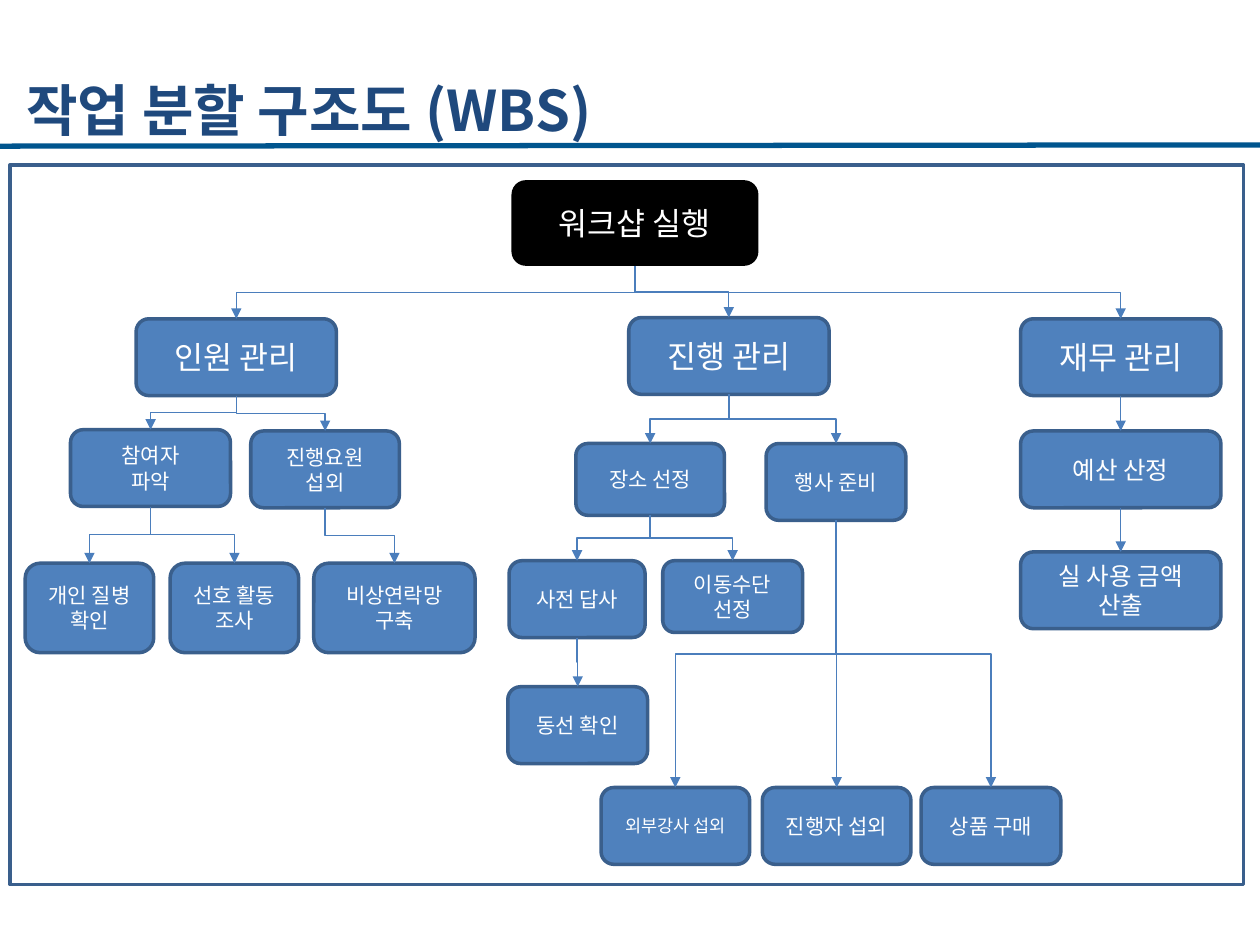
import pptx
import pptx.dml.color
import pptx.enum.shapes
import pptx.enum.text
import pptx.oxml.ns
import pptx.util
from lxml import etree

Inches = pptx.util.Inches
Pt = pptx.util.Pt
RGBColor = pptx.dml.color.RGBColor
SHAPE = pptx.enum.shapes.MSO_SHAPE
CONNECTOR = pptx.enum.shapes.MSO_CONNECTOR
ALIGN = pptx.enum.text.PP_ALIGN
ANCHOR = pptx.enum.text.MSO_ANCHOR
qn = pptx.oxml.ns.qn

FONT = "Noto Sans CJK KR"
NAVY = RGBColor(0x1F, 0x49, 0x7D)
RULE = RGBColor(0x00, 0x55, 0x8E)
BORDER = RGBColor(0x3A, 0x5F, 0x8C)
BLUE = RGBColor(0x4F, 0x81, 0xBD)
ARROW = RGBColor(0x4B, 0x7E, 0xBC)
BLACK = RGBColor(0, 0, 0)
WHITE = RGBColor(255, 255, 255)

ROOT = "워크샵 실행"

# text: (left, top, width, height, font size)
TASKS = {
    "인원 관리": (1.08, 2.53, 1.59, 0.61, 18),
    "진행 관리": (4.99, 2.52, 1.59, 0.61, 18),
    "재무 관리": (8.1, 2.53, 1.59, 0.61, 18),
    "참여자\n파악": (0.56, 3.41, 1.27, 0.61, 12),
    "진행요원\n섭외": (1.99, 3.42, 1.18, 0.61, 12),
    "개인 질병 확인": (0.2, 4.47, 1.02, 0.71, 12),
    "선호 활동 조사": (1.35, 4.47, 1.02, 0.71, 12),
    "비상연락망 구축": (2.49, 4.47, 1.28, 0.71, 12),
    "장소 선정": (4.57, 3.52, 1.18, 0.57, 12),
    "행사 준비": (6.08, 3.52, 1.11, 0.61, 12),
    "사전 답사": (4.04, 4.45, 1.08, 0.61, 12),
    "이동수단\n선정": (5.26, 4.45, 1.11, 0.57, 12),
    "동선 확인": (4.03, 5.45, 1.11, 0.61, 12),
    "외부강사 섭외": (4.77, 6.25, 1.18, 0.61, 10),
    "진행자 섭외": (6.05, 6.25, 1.18, 0.61, 12),
    "상품 구매": (7.31, 6.25, 1.11, 0.61, 12),
    "예산 산정": (8.1, 3.42, 1.59, 0.61, 14),
    "실 사용 금액\n산출": (8.1, 4.38, 1.59, 0.61, 14),
}

CHILDREN = {
    ROOT: ["인원 관리", "진행 관리", "재무 관리"],
    "인원 관리": ["참여자\n파악", "진행요원\n섭외"],
    "참여자\n파악": ["개인 질병 확인", "선호 활동 조사"],
    "진행요원\n섭외": ["비상연락망 구축"],
    "진행 관리": ["장소 선정", "행사 준비"],
    "장소 선정": ["사전 답사", "이동수단\n선정"],
    "사전 답사": ["동선 확인"],
    "행사 준비": ["외부강사 섭외", "진행자 섭외", "상품 구매"],
    "재무 관리": ["예산 산정"],
    "예산 산정": ["실 사용 금액\n산출"],
}


def write_text(shape, text, size, color, align, bold=False):
    frame = shape.text_frame
    frame.word_wrap = True
    frame.vertical_anchor = ANCHOR.MIDDLE
    frame.text = text
    for para in frame.paragraphs:
        para.alignment = align
        font = para.font
        font.size = Pt(size)
        font.bold = bold
        font.color.rgb = color
        font.name = FONT
        east_asian = etree.SubElement(font._element, qn("a:ea"))
        east_asian.set("typeface", FONT)


def add_box(page, kind, left, top, width, height, fill=None, border=None):
    box = page.shapes.add_shape(
        kind, Inches(left), Inches(top), Inches(width), Inches(height))
    box.shadow.inherit = False
    if fill is None:
        box.fill.background()
    else:
        box.fill.solid()
        box.fill.fore_color.rgb = fill
    if border is None:
        box.line.fill.background()
    else:
        box.line.color.rgb = border
        box.line.width = Pt(2)
    return box


def add_task(page, text, left, top, width, height, size,
             fill=BLUE, border=BORDER):
    box = add_box(page, SHAPE.ROUNDED_RECTANGLE,
                  left, top, width, height, fill, border)
    write_text(box, text, size, WHITE, ALIGN.CENTER)
    return box


def add_line(page, kind, start, end, color, width):
    line = page.shapes.add_connector(kind, *start, *end)
    line.line.color.rgb = color
    line.line.width = Pt(width)
    etree.SubElement(line._element.spPr, qn("a:effectLst"))
    return line


def add_branch(page, parent, child):
    """Draw an elbow arrow that leaves downwards and enters the child's top.

    An elbow runs sideways first, so it is laid out on its side about its
    centre and turned a quarter: clockwise to go left, mirrored to go right.
    """
    start_x = parent.left + parent.width // 2
    start_y = parent.top + parent.height
    end_x = child.left + child.width // 2
    center_x = (start_x + end_x) // 2
    center_y = (start_y + child.top) // 2
    half_drop = (child.top - start_y) // 2
    half_shift = abs(end_x - start_x) // 2
    goes_right = end_x > start_x
    side = half_drop if goes_right else -half_drop
    branch = add_line(page, CONNECTOR.ELBOW,
                      (center_x + side, center_y - half_shift),
                      (center_x - side, center_y + half_shift), ARROW, 0.75)
    quarter_turns = 3 if goes_right else 1
    branch._element.spPr.find(qn("a:xfrm")).set(
        "rot", str(quarter_turns * 90 * 60000))
    outline = branch.line._get_or_add_ln()
    etree.SubElement(outline, qn("a:tailEnd")).set("type", "triangle")


def add_title(page, text):
    box = page.shapes.add_textbox(
        Inches(0.11), Inches(0.38), Inches(9.71), Inches(0.97))
    write_text(box, text, 32, NAVY, ALIGN.LEFT, bold=True)


def add_breakdown(page):
    boxes = {ROOT: add_task(page, ROOT, 4.06, 1.43, 1.96, 0.68, 18,
                            fill=BLACK, border=None)}
    for text, layout in TASKS.items():
        boxes[text] = add_task(page, text, *layout)
    for parent, children in CHILDREN.items():
        for child in children:
            add_branch(page, boxes[parent], boxes[child])


def main():
    deck = pptx.Presentation()
    deck.slide_width = Inches(10)
    deck.slide_height = Inches(7.5)
    page = deck.slides.add_slide(deck.slide_layouts[6])
    add_line(page, CONNECTOR.STRAIGHT, (0, Inches(1.16)),
             (Inches(10), Inches(1.15)), RULE, 3)
    add_box(page, SHAPE.RECTANGLE, 0.08, 1.31, 9.79, 5.71, border=BORDER)
    add_breakdown(page)
    add_title(page, "작업 분할 구조도 (WBS)")
    deck.save("out.pptx")


if __name__ == "__main__":
    main()
